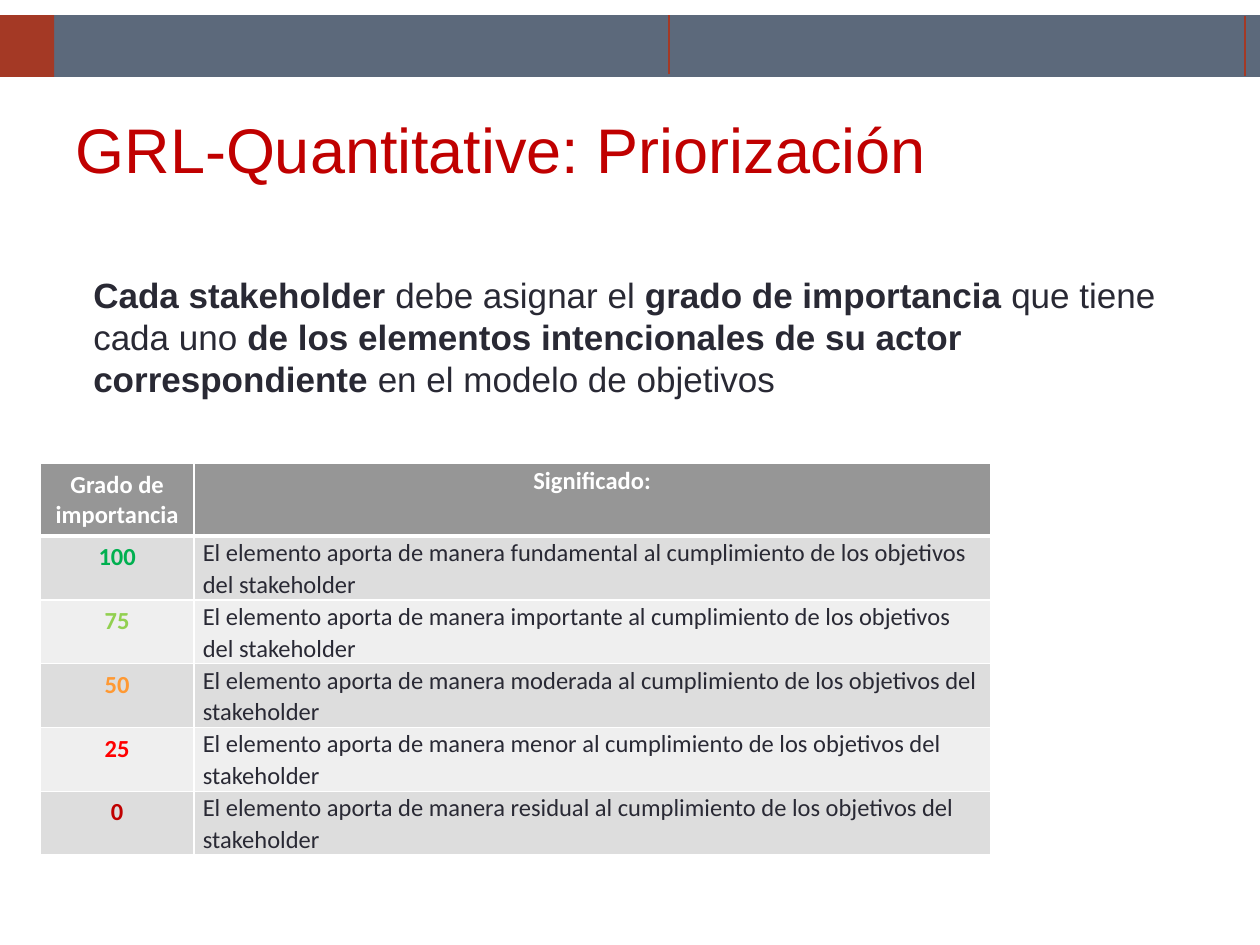
from lxml import etree
from pptx import Presentation
from pptx.dml.color import RGBColor
from pptx.enum.shapes import MSO_CONNECTOR, MSO_SHAPE
from pptx.enum.text import MSO_ANCHOR, MSO_AUTO_SIZE, PP_ALIGN
from pptx.oxml.ns import qn
from pptx.util import Inches, Pt

RECTANGLE = MSO_SHAPE.RECTANGLE
STRAIGHT = MSO_CONNECTOR.STRAIGHT
LEFT, CENTER = PP_ALIGN.LEFT, PP_ALIGN.CENTER
TOP, MIDDLE = MSO_ANCHOR.TOP, MSO_ANCHOR.MIDDLE
NO_AUTOFIT = MSO_AUTO_SIZE.NONE

COLORS = {
    "band": "5C697B", "accent": "A43925", "title": "C00000", "text": "292934",
    "white": "FFFFFF", "header": "969696", "odd": "DDDDDD", "even": "EFEFEF",
    "100": "00B050", "75": "92D050", "50": "FF9933", "25": "FF0000", "0": "C00000",
}
STATEMENT = [
    ("Cada stakeholder ", True),
    ("debe asignar el ", False),
    ("grado de importancia ", True),
    ("que tiene cada uno ", False),
    ("de los elementos intencionales de su actor correspondiente ", True),
    ("en el modelo de objetivos", False),
]
GRADES = [("100", "fundamental"), ("75", "importante"), ("50", "moderada"),
          ("25", "menor"), ("0", "residual")]


def rgb(name):
    return RGBColor.from_string(COLORS[name])


def add_text(paragraph, text, size=14, font="Calibri", color="text", bold=False,
             align=LEFT, spacing=None):
    paragraph.alignment = align
    if spacing:
        paragraph.line_spacing = spacing
    run = paragraph.add_run()
    run.text = text
    run.font.size = Pt(size)
    run.font.name = font
    run.font.bold = bold
    run.font.color.rgb = rgb(color)


def add_band(slide, left, top, width, height):
    for block_width, color in ((width, "band"), (0.43, "accent")):
        block = slide.shapes.add_shape(RECTANGLE, Inches(left), Inches(top),
                                       Inches(block_width), Inches(height))
        block.shadow.inherit = False
        block.fill.solid()
        block.fill.fore_color.rgb = rgb(color)
        block.line.fill.background()
    for x, offset in ((5.31, 0), (9.88, 0.01)):
        start = top + offset
        divider = slide.shapes.add_connector(STRAIGHT, Inches(x), Inches(start),
                                             Inches(x), Inches(start + 0.47))
        divider.line.color.rgb = rgb("accent")
        divider.line.width = Pt(1.5)
        etree.SubElement(divider._element.spPr, qn("a:effectLst"))


def place_placeholder(placeholder, left, top, width, height, anchor):
    placeholder.left, placeholder.top = Inches(left), Inches(top)
    placeholder.width, placeholder.height = Inches(width), Inches(height)
    frame = placeholder.text_frame
    frame.word_wrap = True
    frame.auto_size = NO_AUTOFIT
    frame.vertical_anchor = anchor
    frame.margin_left = frame.margin_right = Inches(0.1)
    frame.margin_top = frame.margin_bottom = Inches(0.1)
    return frame.paragraphs[0]


def add_title(slide, *box):
    heading = place_placeholder(slide.shapes.title, *box, MIDDLE)
    add_text(heading, "GRL-Quantitative: Priorización", size=36, font="Arial",
             color="title")


def add_statement(slide, *box):
    statement = place_placeholder(slide.placeholders[1], *box, TOP)
    statement.space_before = Pt(4.8)
    properties = statement._p.get_or_add_pPr()
    properties.set("marL", str(Inches(0.14)))
    properties.set("indent", "0")
    etree.SubElement(properties, qn("a:buNone"))
    for text, bold in STATEMENT:
        add_text(statement, text, size=20, font="Arial", bold=bold)


def format_cell(cell, fill, top_width=1, bottom_width=1):
    properties = cell._tc.get_or_add_tcPr()
    for side, width in (("L", 1), ("R", 1), ("T", top_width), ("B", bottom_width)):
        border = etree.SubElement(properties, qn("a:ln" + side), w=str(Pt(width)))
        solid = etree.SubElement(border, qn("a:solidFill"))
        etree.SubElement(solid, qn("a:srgbClr"), val=COLORS["white"])
    cell.fill.solid()
    cell.fill.fore_color.rgb = rgb(fill)


def add_grade_table(slide, left, top, width, height):
    header_height, grade_width = 0.56, 1.22
    grades = slide.shapes.add_table(len(GRADES) + 1, 2, Inches(left), Inches(top),
                                    Inches(width), Inches(height)).table
    grades.columns[0].width = Inches(grade_width)
    grades.columns[1].width = Inches(width - grade_width)
    row_height = (height - header_height) / len(GRADES)
    for index, row in enumerate(grades.rows):
        row.height = Inches(row_height if index else header_height)
        fill = ("odd" if index % 2 else "even") if index else "header"
        for cell in row.cells:
            format_cell(cell, fill, top_width=3 if index == 1 else 1,
                        bottom_width=1 if index else 3)
        meaning = row.cells[1]
        meaning.margin_left = meaning.margin_right = Inches(0.07)
        meaning.margin_top = meaning.margin_bottom = 0

    label = grades.cell(0, 0).text_frame
    label_style = {"color": "white", "bold": True, "align": CENTER}
    add_text(label.paragraphs[0], "Grado de", **label_style)
    add_text(label.add_paragraph(), "importancia", **label_style)
    add_text(grades.cell(0, 1).text_frame.paragraphs[0], "Significado:",
             spacing=1.07, **label_style)
    for index, (grade, degree) in enumerate(GRADES, start=1):
        add_text(grades.cell(index, 0).text_frame.paragraphs[0], grade,
                 color=grade, bold=True, align=CENTER)
        add_text(grades.cell(index, 1).text_frame.paragraphs[0],
                 f"El elemento aporta de manera {degree} al cumplimiento "
                 "de los objetivos del stakeholder", spacing=1.07)


def main():
    deck = Presentation()
    deck.slide_width, deck.slide_height = Inches(10), Inches(7.5)
    slide = deck.slides.add_slide(deck.slide_layouts[1])
    add_band(slide, 0, 0.12, 10, 0.49)
    add_title(slide, 0.5, 0.68, 9, 0.99)
    add_statement(slide, 0.5, 2.07, 9, 1.24)
    add_grade_table(slide, 0.32, 3.68, 7.54, 3.06)
    deck.save("out.pptx")


if __name__ == "__main__":
    main()
